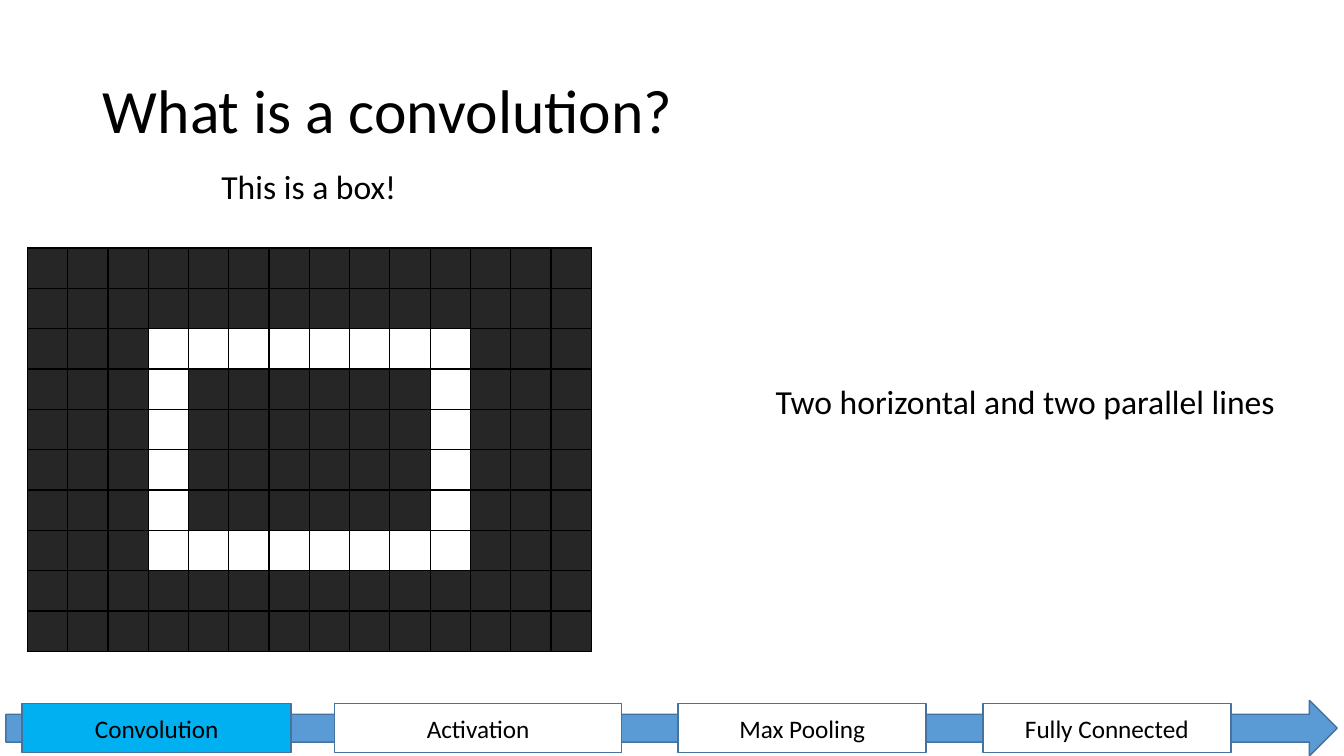
import dataclasses

import lxml.etree
import pptx
import pptx.dml.color
import pptx.enum.shapes
import pptx.enum.text
import pptx.oxml.ns
import pptx.util
from pptx.util import Cm

FONT = "Calibri"
COLOURS = {
    "text": "000000",
    "grid": "000000",
    "dark pixel": "262626",
    "light pixel": "FFFFFF",
    "arrow": "5B9BD5",
    "outline": "43739E",
    "current stage": "00B0F0",
    "other stage": "FFFFFF",
}


@dataclasses.dataclass
class Caption:
    text: str
    left: float
    top: float
    width: float


@dataclasses.dataclass
class Stage:
    text: str
    left: float
    width: float
    colour: str = "other stage"


CAPTIONS = [
    Caption("This is a box!", 5.33, 4.06, 4.95),
    Caption("Two horizontal and two parallel lines", 19.3, 9.47, 13.21),
]
STAGES = [
    Stage("Convolution", 0.56, 6.78, "current stage"),
    Stage("Activation", 8.43, 7.24),
    Stage("Max Pooling", 17.09, 6.25),
    Stage("Fully Connected", 24.77, 6.25),
]
STAGE_TOP, STAGE_HEIGHT = 17.73, 1.24

# Pixel grid: the box outline runs along these first and last rows and columns
ROWS, COLUMNS = 10, 14
BOX_TOP, BOX_BOTTOM = 2, 7
BOX_LEFT, BOX_RIGHT = 3, 10


def rgb(name: str) -> pptx.dml.color.RGBColor:
    return pptx.dml.color.RGBColor.from_string(COLOURS[name])


def write(text_frame, text: str, size: int) -> None:
    text_frame.text = text
    for run in text_frame.paragraphs[0].runs:
        run.font.name = FONT
        run.font.size = pptx.util.Pt(size)
        run.font.color.rgb = rgb("text")


def add_title(slide, text: str) -> None:
    title = slide.shapes.title
    title.left, title.top, title.width, title.height = Cm(2.34), Cm(1.02), Cm(29.21), Cm(3.68)
    write(title.text_frame, text, 44)
    title.text_frame.auto_size = pptx.enum.text.MSO_AUTO_SIZE.NONE
    title.text_frame.vertical_anchor = pptx.enum.text.MSO_ANCHOR.MIDDLE
    paragraph = title.text_frame.paragraphs[0]
    paragraph.alignment = pptx.enum.text.PP_ALIGN.LEFT
    paragraph.line_spacing = 0.9


def add_caption(slide, caption: Caption) -> None:
    box = slide.shapes.add_textbox(Cm(caption.left), Cm(caption.top), Cm(caption.width), Cm(1.27))
    box.text_frame.word_wrap = False
    box.text_frame.auto_size = pptx.enum.text.MSO_AUTO_SIZE.SHAPE_TO_FIT_TEXT
    write(box.text_frame, caption.text, 24)


def add_borders(cell) -> None:
    properties = cell._tc.get_or_add_tcPr()
    for side in ("a:lnL", "a:lnR", "a:lnT", "a:lnB"):
        line = lxml.etree.SubElement(properties, pptx.oxml.ns.qn(side), w=str(pptx.util.Pt(1)))
        fill = lxml.etree.SubElement(line, pptx.oxml.ns.qn("a:solidFill"))
        lxml.etree.SubElement(fill, pptx.oxml.ns.qn("a:srgbClr"), val=COLOURS["grid"])


def is_light(row: int, column: int) -> bool:
    inside = BOX_TOP <= row <= BOX_BOTTOM and BOX_LEFT <= column <= BOX_RIGHT
    return inside and (row in (BOX_TOP, BOX_BOTTOM) or column in (BOX_LEFT, BOX_RIGHT))


def add_pixel_grid(slide) -> None:
    frame = slide.shapes.add_table(ROWS, COLUMNS, Cm(0.69), Cm(6.25), Cm(14.22), Cm(10.16))
    for row in range(ROWS):
        for column in range(COLUMNS):
            cell = frame.table.cell(row, column)
            cell.margin_top = cell.margin_bottom = 0
            add_borders(cell)
            cell.fill.solid()
            cell.fill.fore_color.rgb = rgb("light pixel" if is_light(row, column) else "dark pixel")


def add_block(group, kind, left: float, top: float, width: float, height: float, colour: str):
    shape = group.shapes.add_shape(kind, Cm(left), Cm(top), Cm(width), Cm(height))
    shape.shadow.inherit = False
    shape.fill.solid()
    shape.fill.fore_color.rgb = rgb(colour)
    shape.line.color.rgb = rgb("outline")
    shape.line.width = pptx.util.Pt(1)
    return shape


def add_pipeline(slide) -> None:
    kinds = pptx.enum.shapes.MSO_SHAPE
    group = slide.shapes.add_group_shape()
    add_block(group, kinds.RIGHT_ARROW, 0.15, 17.65, 33.55, 1.4, "arrow")
    for stage in STAGES:
        shape = add_block(group, kinds.RECTANGLE, stage.left, STAGE_TOP,
                          stage.width, STAGE_HEIGHT, stage.colour)
        write(shape.text_frame, stage.text, 18)
        shape.text_frame.vertical_anchor = pptx.enum.text.MSO_ANCHOR.MIDDLE
        shape.text_frame.paragraphs[0].alignment = pptx.enum.text.PP_ALIGN.CENTER


def main() -> None:
    presentation = pptx.Presentation()
    presentation.slide_width, presentation.slide_height = Cm(33.87), Cm(19.05)
    slide = presentation.slides.add_slide(presentation.slide_layouts.get_by_name("Title Only"))

    # Heading and captions
    add_title(slide, "What is a convolution?")
    for caption in CAPTIONS:
        add_caption(slide, caption)

    # Box drawn in pixels
    add_pixel_grid(slide)

    # Network stages along the bottom
    add_pipeline(slide)

    presentation.save("out.pptx")


if __name__ == "__main__":
    main()
